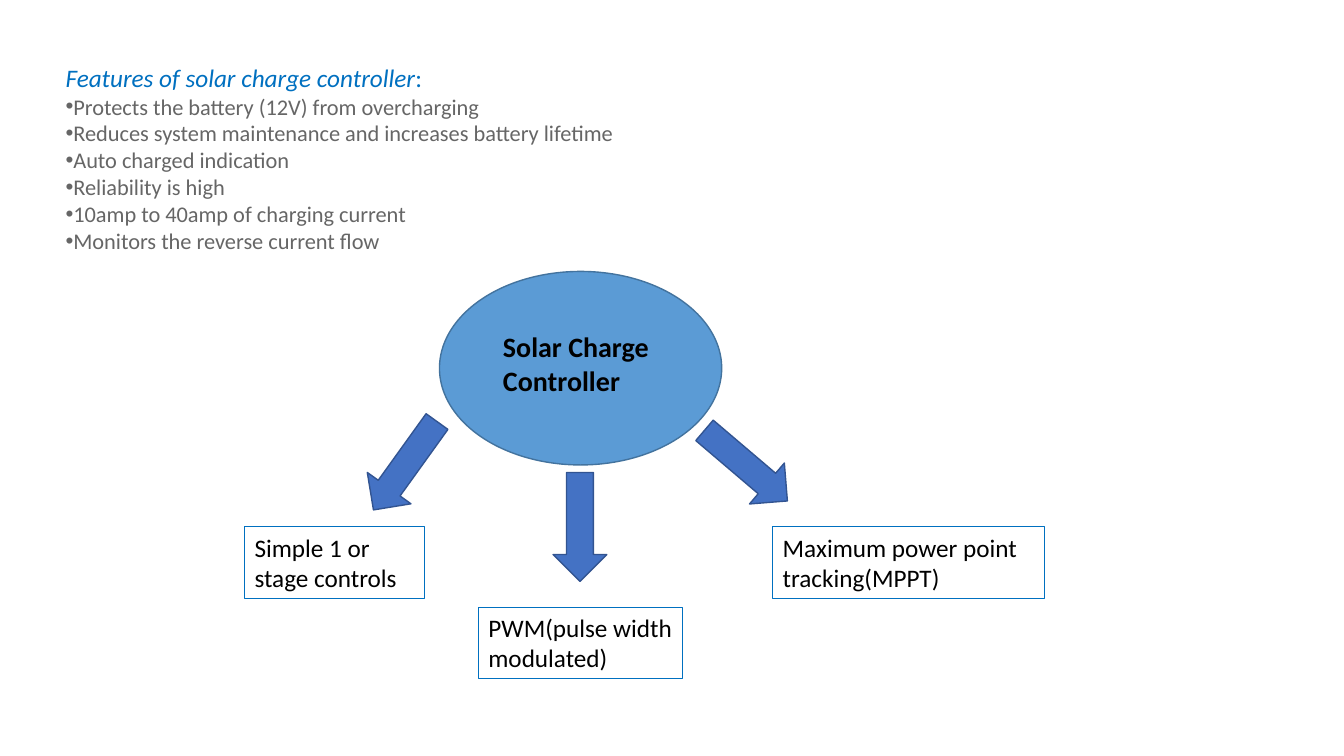
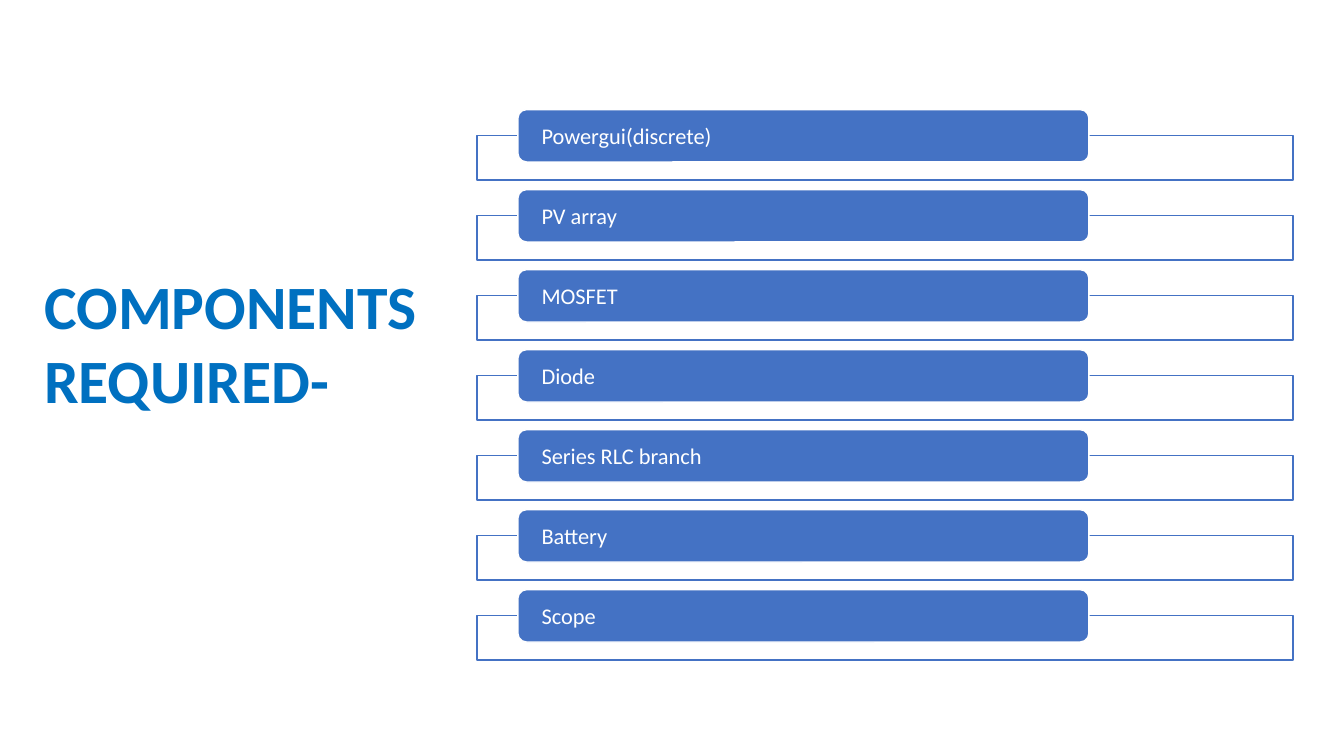
from collections import namedtuple
from dataclasses import dataclass

from lxml.etree import SubElement
from pptx import Presentation
from pptx.dml.color import RGBColor as RGB
from pptx.enum.shapes import MSO_SHAPE as SHAPE
from pptx.enum.text import MSO_ANCHOR as ANCHOR, MSO_AUTO_SIZE as AUTO, PP_ALIGN as ALIGN
from pptx.oxml.ns import qn
from pptx.util import Inches, Pt


@dataclass(frozen=True)
class Theme:
    """Colours, font and type sizes shared by the slides."""
    font: str = "Calibri"
    accent: str = "0070C0"
    blue: str = "4472C4"
    blue_edge: str = "325491"
    sky: str = "5B9BD5"
    sky_edge: str = "43739E"
    grey: str = "666666"
    black: str = "000000"
    white: str = "FFFFFF"
    title: int = 44
    hub: int = 20
    label: int = 18
    item: int = 16


T = Theme()
WIDTH, HEIGHT = 13.33, 7.5
COL, ROW = WIDTH / 100, HEIGHT / 100


class Box(namedtuple("Box", "x y w h")):
    """A region measured in hundredths of the slide's width and height."""

    def inner(self, x, y, w, h):
        """Return a region offset from this one's corner."""
        return Box(self.x + x, self.y + y, w, h)

    def place(self):
        """Return left, top, width and height as lengths."""
        return [Inches(v * u) for v, u in zip(self, (COL, ROW, COL, ROW))]


def write(sp, lines, size, color, bold=False, bullet=None,
          anchor=ANCHOR.TOP, margins=(0.1, 0.05, 0.1, 0.05)):
    """Fill a shape with paragraphs, each a string or a list of (text, italic)."""
    tf = sp.text_frame
    tf.word_wrap, tf.auto_size, tf.vertical_anchor = True, AUTO.NONE, anchor
    tf.margin_left, tf.margin_top, tf.margin_right, tf.margin_bottom = map(Inches, margins)
    for i, line in enumerate(lines):
        p = tf.paragraphs[0] if i == 0 else tf.add_paragraph()
        p.alignment, p.space_before = ALIGN.LEFT, Pt(0)
        for text, italic in [(line, False)] if isinstance(line, str) else line:
            r = p.add_run()
            r.text = text
            f = r.font
            f.name, f.size, f.bold, f.italic = T.font, Pt(size), bold, italic
            f.color.rgb = RGB.from_string(color)
        if bullet:
            pr = p._p.get_or_add_pPr()
            pr.set("marL", "0")
            pr.set("indent", "0")
            SubElement(pr, qn("a:buChar")).set("char", bullet)


def draw(s, kind, box, fill, line, weight=1, turn=0):
    """Add a flat preset shape."""
    sp = s.shapes.add_shape(kind, *box.place())
    sp.shadow.inherit = False
    sp.rotation = turn
    if fill:
        sp.fill.solid()
        sp.fill.fore_color.rgb = RGB.from_string(fill)
    else:
        sp.fill.background()
    sp.line.color.rgb = RGB.from_string(line)
    sp.line.width = Pt(weight)
    return sp


def fill_holder(sp, box, lines, **fmt):
    """Move a placeholder and write its text."""
    sp.left, sp.top, sp.width, sp.height = box.place()
    write(sp, lines, **fmt)


def features(s, box, heading, items):
    """Place the heading above its bulleted list."""
    fill_holder(s.shapes.title, box.inner(0, 0, box.w, 4.8), [heading],
                size=T.label, color=T.accent)
    fill_holder(s.placeholders[1], box.inner(0, 4, box.w, box.h - 4), items,
                size=T.item, color=T.grey, bullet="•")


def controller_types(s, box, hub, branches):
    """Draw the hub with an arrow to each labelled type."""
    sp = draw(s, SHAPE.OVAL, box.inner(14.5, 0, 21, 25.6), T.sky, T.sky_edge)
    write(sp, hub, T.hub, T.black, bold=True, anchor=ANCHOR.MIDDLE,
          margins=(0.22, 0.05, 0.05, 0.15))
    for text, (x, y, w), (ax, ay, turn) in branches:
        draw(s, SHAPE.UP_ARROW, box.inner(ax, ay, 4, 14.4), T.blue, T.blue_edge, turn=turn)
        sp = draw(s, SHAPE.RECTANGLE, box.inner(x, y, w, 9.45), None, T.accent, 0.75)
        write(sp, [text], T.label, T.black)


def component_list(s, box, items):
    """Stack one outlined panel with a name tab per item."""
    tab_h, drop, panel_h = 6.93, 3.43, 5.87
    pitch = (box.h - drop - panel_h) / (len(items) - 1)
    for i, item in enumerate(items):
        row = box.inner(0, i * pitch, box.w, pitch)
        draw(s, SHAPE.RECTANGLE, row.inner(0, drop, row.w, panel_h), T.white, T.blue)
        tab = draw(s, SHAPE.ROUNDED_RECTANGLE,
                   row.inner(0.05 * row.w, 0, 0.7 * row.w, tab_h), T.blue, T.white)
        write(tab, [item], T.item, T.white, anchor=ANCHOR.MIDDLE, margins=(0.21, 0, 0.21, 0))


def controller_slide(prs):
    """Build the slide on the charge controller."""
    s = prs.slides.add_slide(prs.slide_layouts[1])
    features(s, Box(4.13, 7.6, 54.8, 30.9),
             [("Features of solar charge controller", True), (":", False)],
             ["Protects the battery (12V) from overcharging",
              "Reduces system maintenance and increases battery lifetime",
              "Auto charged indication",
              "Reliability is high",
              "10amp to 40amp of charging current",
              "Monitors the reverse current flow"])
    controller_types(s, Box(18.2, 35.9, 59.5, 53.9), ["Solar Charge", "Controller"], [
        ("Simple 1 or stage controls", (0, 33.8, 13.4), (9.95, 18.5, 215.7)),
        ("PWM(pulse width modulated)", (17.4, 44.4, 15.2), (22.95, 26.6, 180)),
        ("Maximum power point tracking(MPPT)", (39.3, 33.8, 20.2), (35.3, 18.5, 130.4))])


def components_slide(prs):
    """Build the slide that lists the components."""
    s = prs.slides.add_slide(prs.slide_layouts[5])
    component_list(s, Box(35.5, 14.5, 60.7, 72.8),
                   ["Powergui(discrete)", "PV array", "MOSFET", "Diode",
                    "Series RLC branch", "Battery", "Scope"])
    fill_holder(s.shapes.title, Box(2.55, 34.8, 32.25, 21), ["COMPONENTS", "REQUIRED-"],
                size=T.title, color=T.accent, bold=True)


def main():
    """Build and save the presentation."""
    prs = Presentation()
    prs.slide_width, prs.slide_height = Inches(WIDTH), Inches(HEIGHT)
    controller_slide(prs)
    components_slide(prs)
    prs.save("out.pptx")


if __name__ == "__main__":
    main()
